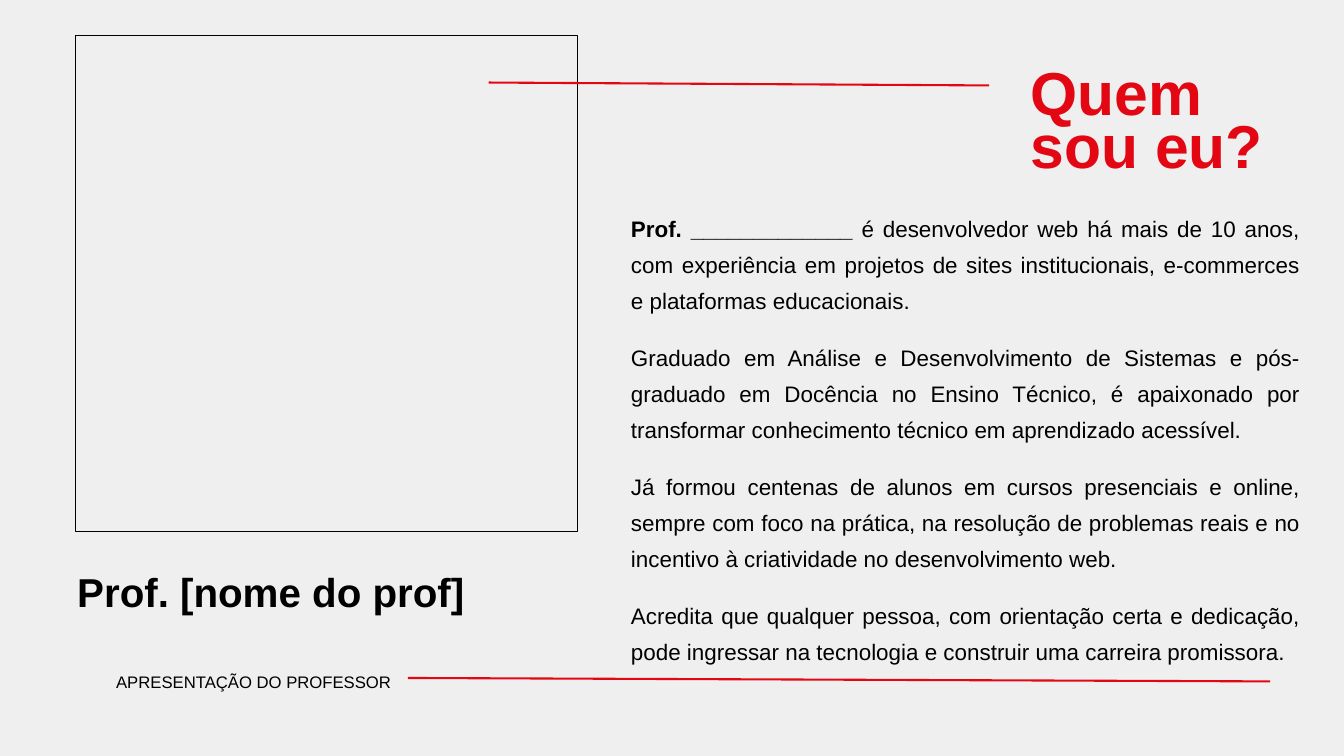
from dataclasses import dataclass

from lxml.etree import SubElement
from pptx import Presentation
from pptx.dml.color import RGBColor
from pptx.enum.shapes import MSO_CONNECTOR, MSO_SHAPE
from pptx.enum.text import MSO_AUTO_SIZE, PP_ALIGN
from pptx.oxml.ns import qn
from pptx.util import Cm, Pt


@dataclass(frozen=True)
class Theme:
    font: str = "Arial"
    paper: RGBColor = RGBColor(0xEF, 0xEF, 0xEF)
    ink: RGBColor = RGBColor(0, 0, 0)
    accent: RGBColor = RGBColor(0xE3, 0x06, 0x13)
    title: float = 64.9
    name: float = 43.2
    body: float = 24
    footer: float = 17.9
    rule: float = 2.25
    frame: float = 0.75


T = Theme()

# Content: each paragraph is a list of (text, bold) runs
TITLE = [[("Quem", True)], [("sou eu?", True)]]
NAME = [[("Prof. [nome do prof]", True)]]
FOOTER = [[("APRESENTAÇÃO DO PROFESSOR", False)]]
BIO = [
    [("Prof. _____________", True),
     (" é desenvolvedor web há mais de 10 anos, com experiência em projetos de "
      "sites institucionais, e-commerces e plataformas educacionais.", False)],
    [("Graduado em Análise e Desenvolvimento de Sistemas e pós-graduado em "
      "Docência no Ensino Técnico, é apaixonado por transformar conhecimento "
      "técnico em aprendizado acessível.", False)],
    [("Já formou centenas de alunos em cursos presenciais e online, sempre com "
      "foco na prática, na resolução de problemas reais e no incentivo à "
      "criatividade no desenvolvimento web.", False)],
    [("Acredita que qualquer pessoa, com orientação certa e dedicação, pode "
      "ingressar na tecnologia e construir uma carreira promissora.", False)],
]

# Places in cm: left, top, width, height; rules run from (x, y) to (x, y)
FRAME = (2.86, 1.33, 18.97, 18.75)
RULES = [(18.47, 3.12, 37.39, 3.23), (15.42, 25.63, 48.01, 25.76)]


def add_text(s, box, paras, size, leading, color=T.ink, align=PP_ALIGN.LEFT, gap=0):
    """Text box; leading holds the line pitch in points, one per paragraph."""
    tf = s.shapes.add_textbox(*map(Cm, box)).text_frame
    tf.word_wrap = True
    tf.auto_size = MSO_AUTO_SIZE.NONE
    tf.margin_left = tf.margin_right = tf.margin_top = tf.margin_bottom = 0
    for i, (runs, pitch) in enumerate(zip(paras, leading)):
        p = tf.add_paragraph() if i else tf.paragraphs[0]
        p.alignment = align
        p.line_spacing = Pt(pitch)
        if i and gap:
            p.space_before = Pt(gap)
        p.font.name, p.font.size = T.font, Pt(size)
        p.font.color.rgb = color
        for text, bold in runs:
            r = p.add_run()
            r.text, r.font.bold = text, bold


def add_rule(s, ends):
    ln = s.shapes.add_connector(MSO_CONNECTOR.STRAIGHT, *map(Cm, ends))
    ln.line.color.rgb = T.accent
    ln.line.width = Pt(T.rule)
    SubElement(ln._element.spPr, qn("a:effectLst"))


def main():
    prs = Presentation()
    prs.slide_width, prs.slide_height = Cm(50.8), Cm(28.58)
    s = prs.slides.add_slide(prs.slide_layouts[6])
    s.background.fill.solid()
    s.background.fill.fore_color.rgb = T.paper

    # Empty frame for the portrait
    sp = s.shapes.add_shape(MSO_SHAPE.RECTANGLE, *map(Cm, FRAME))
    sp.shadow.inherit = False
    sp.fill.background()
    sp.line.color.rgb = T.ink
    sp.line.width = Pt(T.frame)

    # Red rules
    for ends in RULES:
        add_rule(s, ends)

    # Title, biography, footer and name
    add_text(s, (38.96, 1.65, 10.16, 4.6), TITLE, T.title, [90.3, 56.2], T.accent)
    add_text(s, (23.85, 7.77, 25.27, 17.22), BIO, T.body, [38.6] * len(BIO),
             align=PP_ALIGN.JUSTIFY, gap=22.5)
    add_text(s, (4.37, 25.27, 10.44, 0.84), FOOTER, T.footer, [25],
             align=PP_ALIGN.CENTER)
    add_text(s, (2.92, 21.95, 15.95, 0.97), NAME, T.name, [37.4])

    prs.save("out.pptx")


if __name__ == "__main__":
    main()
